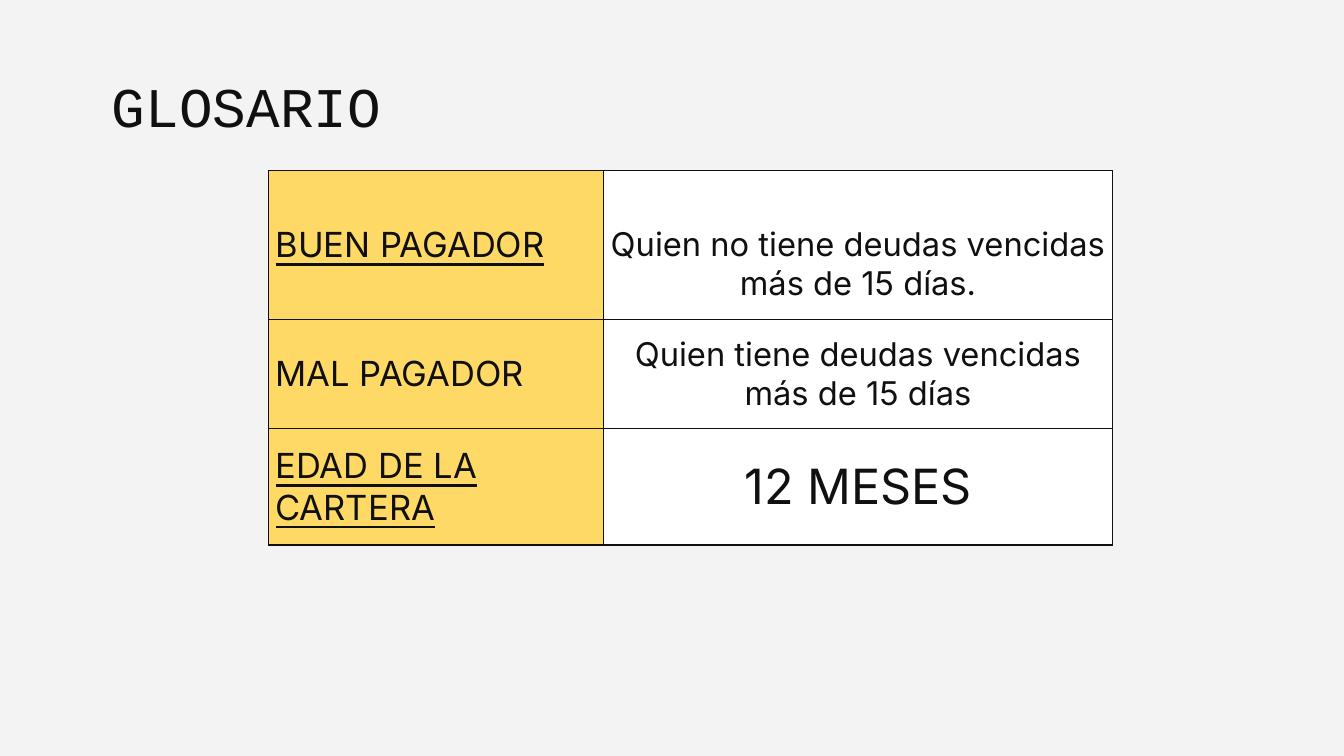
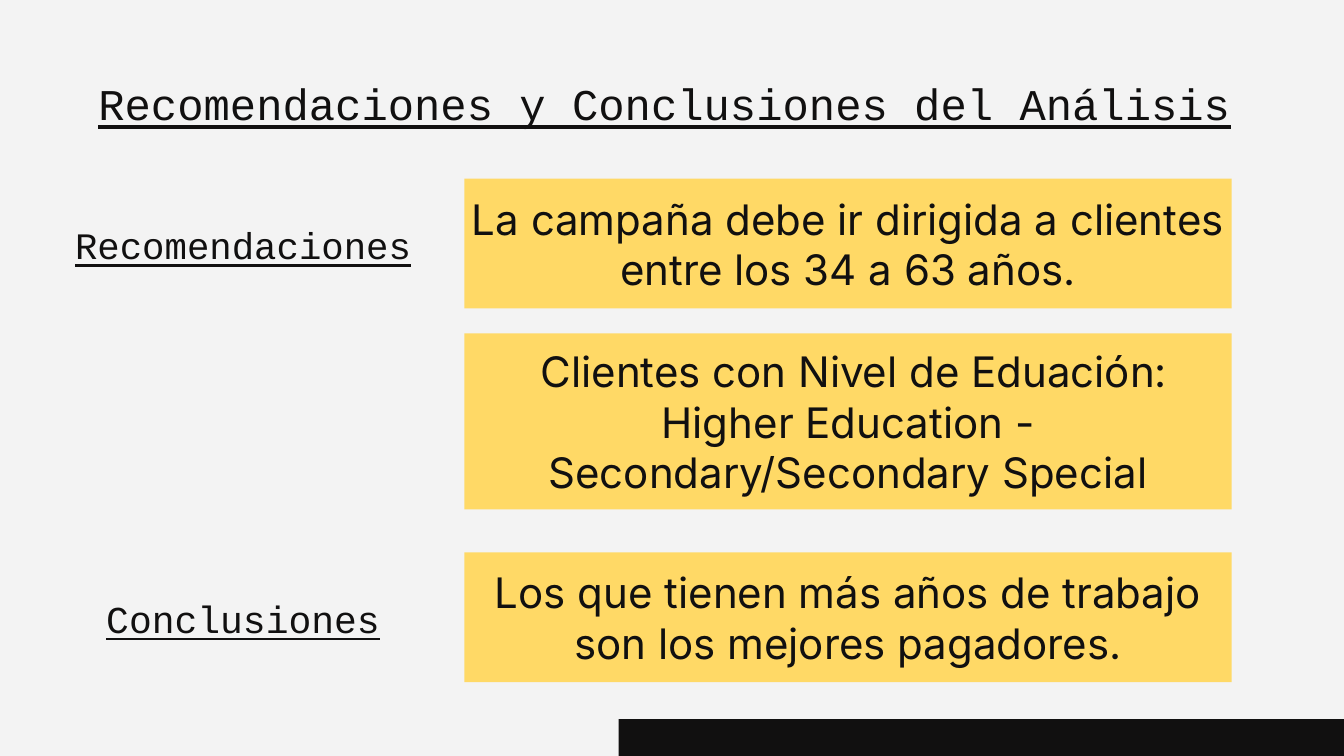
from dataclasses import dataclass

from lxml.etree import SubElement
from pptx import Presentation
from pptx.dml.color import RGBColor
from pptx.enum.shapes import MSO_SHAPE as Shape
from pptx.enum.text import MSO_ANCHOR as Anchor, MSO_AUTO_SIZE as AutoSize, PP_ALIGN as Align
from pptx.oxml.ns import qn
from pptx.util import Pt


@dataclass(frozen=True)
class Theme:
    ink: str = "111010"
    paper: str = "F3F3F3"
    yellow: str = "FFD966"
    white: str = "FFFFFF"
    heading_font: str = "Courier New"
    body_font: str = "Inter"
    glossary_title: float = 60
    findings_title: float = 47
    term: float = 37
    definition: float = 35
    figure: float = 52
    panel: float = 45
    recommendations: float = 40
    conclusions: float = 40.7
    leading: float = 1.2
    border: float = 1.5


THEME = Theme()
WIDTH, HEIGHT = 1440, 810

GLOSSARY_TITLE = "GLOSARIO"
GLOSSARY = [
    ("BUEN PAGADOR", True, "Quien no tiene deudas vencidas más de 15 días.", THEME.definition),
    ("MAL PAGADOR", False, "Quien tiene deudas vencidas más de 15 días", THEME.definition),
    ("EDAD DE LA CARTERA", True, "12 MESES", THEME.figure),
]
GLOSSARY_AT = (288, 182.9)
COLUMN_WIDTHS = (358.6, 545.8)
ROW_HEIGHTS = (159.1, 117.4, 124.6)
CELL_MARGIN = 7.2
FIRST_DEFINITION_DROP = 42

FINDINGS_TITLE = "Recomendaciones y Conclusiones del Análisis"
PANEL_LEFT, PANEL_WIDTH, PANEL_MARGIN = 497.5, 822.2, 4.3
PANELS = [
    ("La campaña debe ir dirigida a clientes entre los 34 a 63 años.", 191.5, 139),
    (" Clientes con Nivel de Eduación: Higher Education - Secondary/Secondary Special", 357.1, 188.6),
    ("Los que tienen más años de trabajo son los mejores pagadores.", 591.8, 139),
]
LABEL_LEFT, LABEL_WIDTH = 63.4, 393.8
LABELS = [
    ("Recomendaciones", 238.3, THEME.recommendations),
    ("Conclusiones", 637.9, THEME.conclusions),
]
BAND_LEFT, BAND_TOP = 662.8, 770.4


def paint(fill, color):
    fill.solid()
    fill.fore_color.rgb = RGBColor.from_string(color)


def set_margins(holder, margin):
    holder.margin_left = holder.margin_right = Pt(margin)
    holder.margin_top = holder.margin_bottom = Pt(margin)


def write(frame, text, size, font, align=Align.CENTER, underline=False):
    paragraph = frame.paragraphs[0]
    paragraph.alignment = align
    paragraph.line_spacing = Pt(round(size * THEME.leading, 1))
    run = paragraph.add_run()
    run.text = text
    run.font.size = Pt(size)
    run.font.name = font
    run.font.underline = underline
    run.font.color.rgb = RGBColor.from_string(THEME.ink)


def prepare(frame, margin=0, anchor=Anchor.TOP):
    frame.word_wrap = True
    frame.auto_size = AutoSize.NONE
    frame.vertical_anchor = anchor
    set_margins(frame, margin)


def add_titled_slide(presentation, text, box, size, align, underline=False):
    slide = presentation.slides.add_slide(presentation.slide_layouts[5])
    title = slide.shapes.title
    title.left, title.top, title.width, title.height = map(Pt, box)
    prepare(title.text_frame)
    write(title.text_frame, text, size, THEME.heading_font, align, underline)
    return slide


def add_block(slide, left, top, width, height, color):
    block = slide.shapes.add_shape(Shape.RECTANGLE, *map(Pt, (left, top, width, height)))
    block.shadow.inherit = False
    block.line.fill.background()
    paint(block.fill, color)
    return block


def outline(cell):
    properties = cell._tc.get_or_add_tcPr()
    for side in ("lnL", "lnR", "lnT", "lnB"):
        line = SubElement(properties, qn(f"a:{side}"), w=str(Pt(THEME.border)))
        fill = SubElement(line, qn("a:solidFill"))
        SubElement(fill, qn("a:srgbClr"), val=THEME.ink)


def fill_cell(cell, text, size, color, align, underline=False):
    set_margins(cell, CELL_MARGIN)
    cell.vertical_anchor = Anchor.MIDDLE
    outline(cell)
    paint(cell.fill, color)
    write(cell.text_frame, text, size, THEME.body_font, align, underline)


def add_glossary(slide):
    sizes = (sum(COLUMN_WIDTHS), sum(ROW_HEIGHTS))
    frame = slide.shapes.add_table(len(GLOSSARY), 2, *map(Pt, GLOSSARY_AT + sizes))
    table = frame.table
    table.first_row = table.horz_banding = False
    for column, width in zip(table.columns, COLUMN_WIDTHS):
        column.width = Pt(width)
    for row, height, entry in zip(table.rows, ROW_HEIGHTS, GLOSSARY):
        row.height = Pt(height)
        term, underline, definition, size = entry
        term_cell, definition_cell = row.cells
        fill_cell(term_cell, term, THEME.term, THEME.yellow, Align.LEFT, underline)
        fill_cell(definition_cell, definition, size, THEME.white, Align.CENTER)
    table.cell(0, 1).margin_top = Pt(CELL_MARGIN + FIRST_DEFINITION_DROP)


def add_findings(slide):
    add_block(slide, BAND_LEFT, BAND_TOP, WIDTH - BAND_LEFT, HEIGHT - BAND_TOP, THEME.ink)
    for text, top, height in PANELS:
        panel = add_block(slide, PANEL_LEFT, top, PANEL_WIDTH, height, THEME.yellow)
        prepare(panel.text_frame, PANEL_MARGIN, Anchor.MIDDLE)
        write(panel.text_frame, text, THEME.panel, THEME.body_font)
    for text, top, size in LABELS:
        box = (LABEL_LEFT, top, LABEL_WIDTH, size * THEME.leading)
        label = slide.shapes.add_textbox(*map(Pt, box))
        prepare(label.text_frame)
        write(label.text_frame, text, size, THEME.heading_font, underline=True)


def main():
    presentation = Presentation()
    presentation.slide_width, presentation.slide_height = Pt(WIDTH), Pt(HEIGHT)
    paint(presentation.slide_master.background.fill, THEME.paper)

    glossary = add_titled_slide(
        presentation, GLOSSARY_TITLE, (120, 76.3, 1198.8, 72.7), THEME.glossary_title, Align.LEFT
    )
    add_glossary(glossary)

    findings = add_titled_slide(
        presentation, FINDINGS_TITLE, (105, 82, 1214.6, 55.4), THEME.findings_title, Align.CENTER, True
    )
    add_findings(findings)

    presentation.save("out.pptx")


if __name__ == "__main__":
    main()
